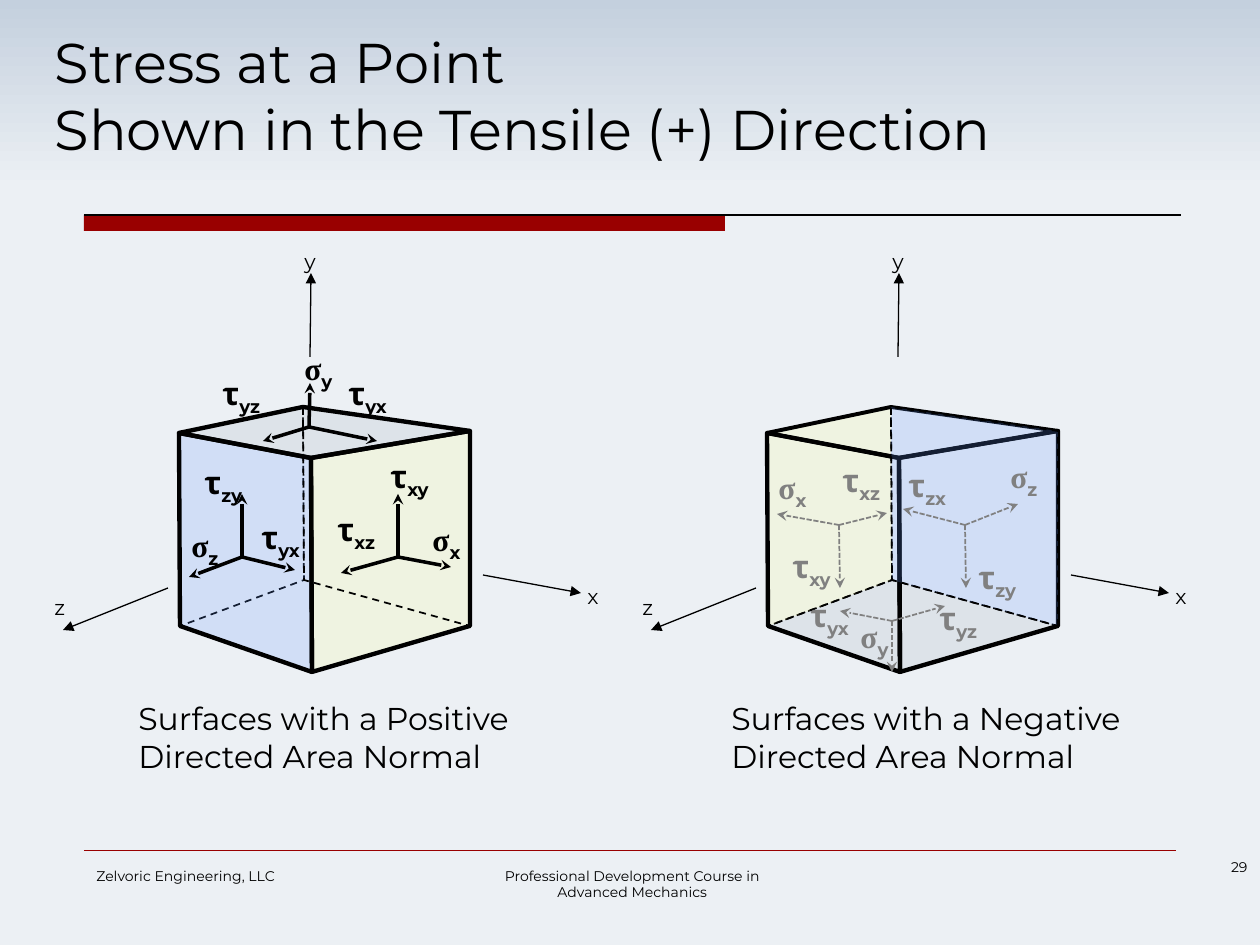
from copy import deepcopy
from lxml.etree import SubElement
from pptx import Presentation
from pptx.dml.color import RGBColor
from pptx.enum.dml import MSO_LINE
from pptx.enum.shapes import MSO_CONNECTOR, MSO_SHAPE
from pptx.enum.text import MSO_ANCHOR, MSO_AUTO_SIZE, PP_ALIGN
from pptx.oxml.ns import qn
from pptx.util import Pt

PX = 914400 / 126
CUBE_SHIFT = 588
BLACK, GREY, RED = "000000", "808080", "990000"
BLUE, YELLOW, STEEL = "6699FF", "FFFF99", "A3B2C1"
SANS, SERIF = "Montserrat", "Times New Roman"

CORNERS = {
    "A": (179, 433), "B": (311, 458), "C": (470, 431), "D": (303, 407),
    "E": (180, 626), "F": (312, 672), "G": (470, 626), "H": (304, 580),
}
POSITIVE_FACES = [
    ("FBCG", YELLOW, 2.5, False), ("DAEH", None, 1, True),
    ("FBAE", BLUE, 2.5, False), ("ABCD", STEEL, 2.5, False),
    ("GCDH", None, 1, True),
]
NEGATIVE_FACES = [
    ("EFGH", STEEL, 1, True), ("DAEH", YELLOW, 1, True),
    ("FBAE", None, 2.5, False), ("FBCG", None, 2.5, False),
    ("ABCD", None, 2.25, False), ("GCDH", BLUE, 1, True),
]
POSITIVE_TRIADS = [
    ((309, 427), [(263, 441), (377, 441), (310, 383)]),
    ((242, 557), [(189, 577), (295, 570), (242, 494)]),
    ((398, 557), [(341, 573), (451, 567), (398, 494)]),
]
NEGATIVE_TRIADS = [
    ((892, 621), [(945, 606), (840, 611), (892, 672)]),
    ((965, 525), [(1018, 504), (903, 509), (966, 588)]),
    ((839, 525), [(887, 513), (777, 514), (840, 588)]),
]
POSITIVE_STRESSES = [
    ("τ", "xz", 325, 504), ("σ", "x", 420, 514), ("σ", "y", 292, 343),
    ("σ", "z", 179, 520), ("τ", "xy", 378, 451), ("τ", "yz", 210, 368),
    ("τ", "yx", 249, 512), ("τ", "zy", 192, 457), ("τ", "yx", 336, 368),
]
NEGATIVE_STRESSES = [
    ("σ", "y", 848, 611), ("τ", "yx", 798, 590), ("τ", "xz", 830, 455),
    ("σ", "x", 766, 462), ("σ", "z", 998, 451), ("τ", "xy", 780, 541),
    ("τ", "yz", 927, 593), ("τ", "zx", 896, 460), ("τ", "zy", 966, 552),
]
AXES = [
    ("y", (310, 357), (311, 273), (292, 242)),
    ("x", (483, 575), (581, 593), (575, 577)),
    ("z", (168, 588), (63, 630), (42, 588)),
]


def px(*lengths):
    """Turn pixel lengths into EMU."""
    return [round(length * PX) for length in lengths]


def colour(value):
    """Turn a hex string into a colour."""
    return RGBColor.from_string(value)


def style(span, size, ink=BLACK, face=SANS, bold=False):
    """Format one run of text."""
    values = {"size": Pt(size), "name": face, "bold": bold}
    for name, value in values.items():
        setattr(span.font, name, value)
    span.font.color.rgb = colour(ink)


def set_background(page):
    """Fade the top fifth of the page from blue grey to pale grey."""
    fill = page.background.fill
    fill.gradient()
    fill.gradient_angle = 270
    stops = zip(fill.gradient_stops, (0, 0.2), ("C4D0DE", "ECF0F4"))
    for stop, position, shade in stops:
        stop.position = position
        stop.color.rgb = colour(shade)


def set_title(page, lines):
    """Place the title and give its lines and breaks one format."""
    title = page.shapes.title
    title.left, title.top, title.width, title.height = px(42, 21, 1187, 168)
    frame = title.text_frame
    frame.text = "\v".join(lines)
    frame.vertical_anchor = MSO_ANCHOR.TOP
    para = frame.paragraphs[0]
    para.alignment = PP_ALIGN.LEFT
    for span in para.runs:
        style(span, 32)
    for line_break in para._p.findall(qn("a:br")):
        line_break.append(deepcopy(para.runs[0]._r.rPr))


def add_box(page, place, wrap=True):
    """Add an empty text box and return its frame."""
    frame = page.shapes.add_textbox(*px(*place)).text_frame
    frame.word_wrap = wrap
    frame.auto_size = MSO_AUTO_SIZE.SHAPE_TO_FIT_TEXT
    return frame


def add_text(page, lines, place, size, align=PP_ALIGN.LEFT, wrap=True):
    """Add a text box with one paragraph for each line."""
    frame = add_box(page, place, wrap)
    frame.text = "\n".join(lines)
    for para in frame.paragraphs:
        para.alignment = align
        style(para.runs[0], size)


def add_stress(page, symbol, index, left, top, ink):
    """Add a stress symbol with its subscript."""
    sigma = symbol == "σ"
    size = (56, 50) if sigma else (67, 89)
    para = add_box(page, (left, top, *size), False).paragraphs[0]
    for text, face in ((symbol, SERIF if sigma else SANS), (index, SANS)):
        span = para.add_run()
        span.text = text
        style(span, 18, ink, face, True)
    span._r.get_or_add_rPr().set("baseline", "-25000")


def add_line(page, start, end, ink, width, head=None, dash=None):
    """Add a straight line, with an arrowhead at its end if one is named."""
    line = page.shapes.add_connector(MSO_CONNECTOR.STRAIGHT, *px(*start, *end))
    line.line.color.rgb = colour(ink)
    line.line.width = Pt(width)
    if dash:
        line.line.dash_style = dash
    if head:
        SubElement(line.line._get_or_add_ln(), qn("a:tailEnd"), type=head)
    SubElement(line._element.spPr, qn("a:effectLst"))


def add_face(page, corners, shade, width, dashed, shift):
    """Add one face of a cube, tinted if a shade is given."""
    points = [(CORNERS[key][0] + shift, CORNERS[key][1]) for key in corners]
    builder = page.shapes.build_freeform(*points[0], scale=PX)
    builder.add_line_segments(points[1:], close=True)
    face = builder.convert_to_shape()
    face.shadow.inherit = False
    if shade:
        face.fill.solid()
        face.fill.fore_color.rgb = colour(shade)
        tint = face._element.spPr.find(".//" + qn("a:srgbClr"))
        SubElement(tint, qn("a:alpha"), val="20000")
    else:
        face.fill.background()
    face.line.color.rgb = colour(BLACK)
    face.line.width = Pt(width)
    if dashed:
        face.line.dash_style = MSO_LINE.DASH


def add_cube(page, faces, triads, stresses, shift, ink, width, dash):
    """Add a stress cube with its axes, arrows and symbols."""
    for face in faces:
        add_face(page, *face, shift)
    for origin, tips in triads:
        for tip in tips:
            add_line(page, origin, tip, ink, width, "stealth", dash)
    for name, (x1, y1), (x2, y2), (left, top) in AXES:
        add_line(page, (x1 + shift, y1), (x2 + shift, y2), BLACK, 0.75, "triangle")
        add_text(page, [name], (left + shift, top, 42, 38), 12)
    for stress in stresses:
        add_stress(page, *stress, ink)


def add_frame(page):
    """Add the title rule and the footer."""
    bar = page.shapes.add_shape(MSO_SHAPE.RECTANGLE, *px(84, 215, 641, 16))
    bar.shadow.inherit = False
    bar.fill.solid()
    bar.fill.fore_color.rgb = colour(RED)
    bar.line.fill.background()
    add_line(page, (84, 215), (1181, 215), BLACK, 0.75)
    add_line(page, (84, 850), (1176, 850), RED, 0.25)
    add_text(page, ["Zelvoric Engineering, LLC"], (84, 861, 262, 63), 8)
    course = ["Professional Development Course in", "Advanced Mechanics"]
    add_text(page, course, (480, 861, 305, 47), 8, PP_ALIGN.CENTER)
    add_text(page, ["29"], (998, 852, 262, 63), 8, PP_ALIGN.RIGHT)


def main():
    """Build the slide and save it."""
    deck = Presentation()
    deck.slide_width, deck.slide_height = px(1260, 945)
    page = deck.slides.add_slide(deck.slide_layouts[5])
    set_background(page)
    set_title(page, ["Stress at a Point", "Shown in the Tensile (+) Direction"])
    add_frame(page)
    add_cube(page, POSITIVE_FACES, POSITIVE_TRIADS, POSITIVE_STRESSES,
             0, BLACK, 2, None)
    add_cube(page, NEGATIVE_FACES, NEGATIVE_TRIADS, NEGATIVE_STRESSES,
             CUBE_SHIFT, GREY, 1, MSO_LINE.SQUARE_DOT)
    for sign, left, width in (("Positive", 126, 446), ("Negative", 719, 462)):
        lines = [f"Surfaces with a {sign}", "Directed Area Normal"]
        add_text(page, lines, (left, 693, width, 89), 18, wrap=False)
    deck.save("out.pptx")


if __name__ == "__main__":
    main()
